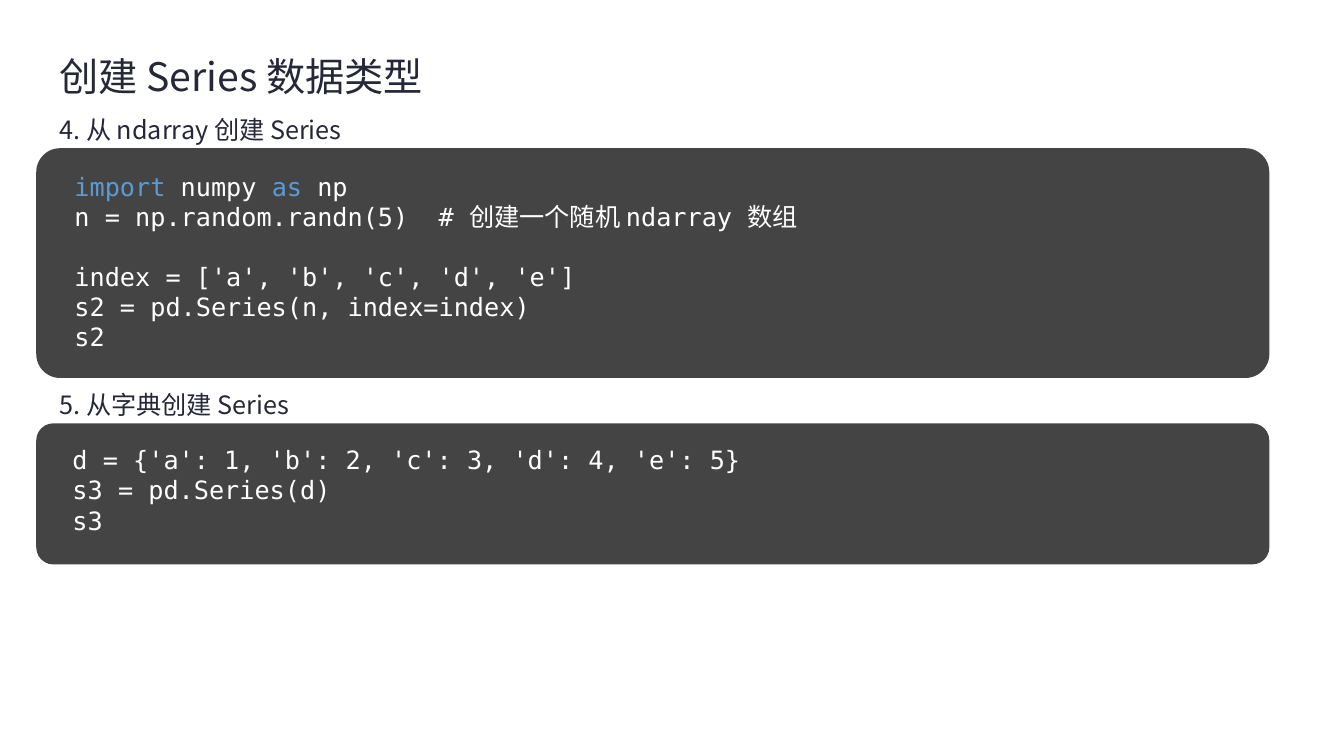
import pptx
import pptx.util
import pptx.dml.color
import pptx.enum.shapes
import pptx.enum.text
import pptx.oxml.ns
from lxml import etree

Inches = pptx.util.Inches
Pt = pptx.util.Pt
Enum = pptx.enum.text
qn = pptx.oxml.ns.qn

hues = {"ink": "252839", "panel": "444444", "code": "FFFFFF", "key": "5B9BD5"}
sans = "Noto Sans CJK SC"
mono = "DejaVu Sans Mono"
keys = ("import", "as")


def color(name):
    return pptx.dml.color.RGBColor.from_string(hues[name])


def write(text, para, size=18, font=sans, hue="ink", line=None, before=0, after=0):
    para.alignment = Enum.PP_ALIGN.LEFT
    para.space_before = Pt(before)
    para.space_after = Pt(after)
    para.line_spacing = line
    run = para.add_run()
    run.text = text
    run.font.size = Pt(size)
    run.font.name = font
    run.font.color.rgb = color(hue)
    east = etree.SubElement(run.font._element, qn("a:ea"))
    east.set("typeface", sans)


deck = pptx.Presentation()
deck.slide_width = Inches(13.33)
deck.slide_height = Inches(7.5)
slide = deck.slides.add_slide(deck.slide_layouts[1])

# Title and section headings
heads = [
    (slide.shapes.title, 0.38, 1.1,
     [("创建 Series 数据类型", 28), ("4. 从 ndarray 创建 Series", 18)]),
    (slide.placeholders[1], 3.75, 0.45, [("5. 从字典创建 Series", 18)]),
]
for box, top, high, lines in heads:
    box.left, box.top = Inches(0.49), Inches(top)
    box.width, box.height = Inches(11.98), Inches(high)
    frame = box.text_frame
    frame.word_wrap = True
    frame.auto_size = Enum.MSO_AUTO_SIZE.SHAPE_TO_FIT_TEXT
    frame.vertical_anchor = Enum.MSO_ANCHOR.TOP
    for i, (text, size) in enumerate(lines):
        para = frame.add_paragraph() if i else frame.paragraphs[0]
        write(text, para, size=size, line=1.2, after=6)
        props = para._p.get_or_add_pPr()
        props.set("marL", "0")
        props.set("indent", "0")
        etree.SubElement(props, qn("a:buNone"))

# Code panels: each line is its parts and the space before it
panels = [
    (1.47, 2.28, 0.104, [
        (["import", " numpy ", "as", " np"], 0),
        (["n = np.random.randn(5)  # 创建一个随机 ndarray 数组"], 0),
        (["index = ['a', 'b', 'c', 'd', 'e']"], 21),
        (["s2 = pd.Series(n, index=index)"], 0),
        (["s2"], 0),
    ]),
    (4.2, 1.4, 0.121, [
        (["d = {'a': 1, 'b': 2, 'c': 3, 'd': 4, 'e': 5}"], 0),
        (["s3 = pd.Series(d)"], 0),
        (["s3"], 0),
    ]),
]
for top, high, curve, lines in panels:
    panel = slide.shapes.add_shape(
        pptx.enum.shapes.MSO_SHAPE.ROUNDED_RECTANGLE,
        Inches(0.36), Inches(top), Inches(12.23), Inches(high))
    panel.adjustments[0] = curve
    panel.shadow.inherit = False
    panel.fill.solid()
    panel.fill.fore_color.rgb = color("panel")
    panel.line.fill.background()
    frame = panel.text_frame
    frame.word_wrap = True
    frame.vertical_anchor = Enum.MSO_ANCHOR.TOP
    frame.margin_left, frame.margin_right = Inches(0.31), Inches(0.24)
    frame.margin_top = frame.margin_bottom = Inches(0.16)
    for i, (parts, gap) in enumerate(lines):
        para = frame.add_paragraph() if i else frame.paragraphs[0]
        for part in parts:
            hue = "key" if part in keys else "code"
            write(part, para, font=mono, hue=hue, before=gap)

deck.save("out.pptx")
